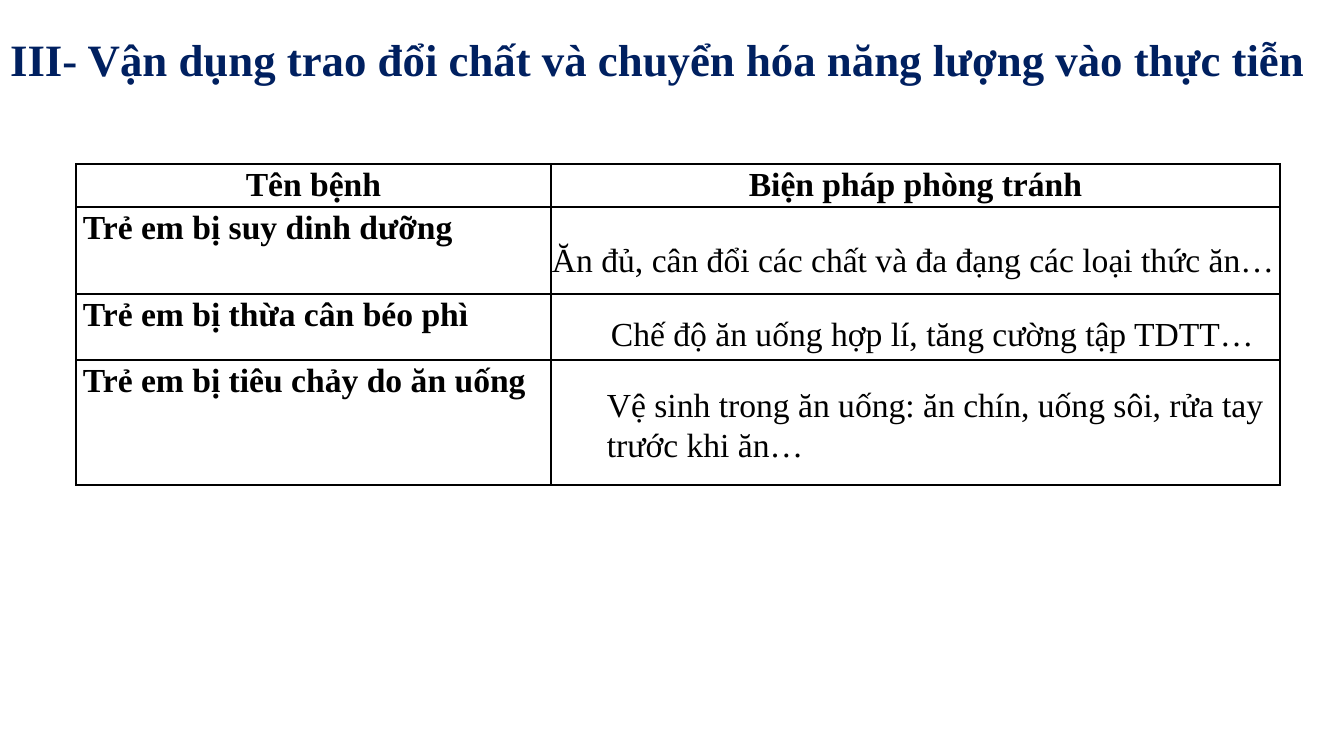
from lxml import etree
from pptx import Presentation
from pptx.dml.color import RGBColor
from pptx.enum.text import MSO_ANCHOR, MSO_AUTO_SIZE, PP_ALIGN
from pptx.oxml.ns import qn
from pptx.util import Pt

LEFT, CENTER, JUSTIFY = PP_ALIGN.LEFT, PP_ALIGN.CENTER, PP_ALIGN.JUSTIFY
TOP = MSO_ANCHOR.TOP
NO_AUTOFIT = MSO_AUTO_SIZE.NONE

EMU_PER_PX = 914400 / 100.8
FONT = "Times New Roman"
COLORS = {"heading": "002060", "text": "000000", "border": "000000"}

HEADING = "III- Vận dụng trao đổi chất và chuyển hóa năng lượng vào thực tiễn"
HEADERS = ["Tên bệnh", "Biện pháp phòng tránh"]
DISEASES = [
    "Trẻ em bị suy dinh dưỡng",
    "Trẻ em bị thừa cân béo phì",
    "Trẻ em bị tiêu chảy do ăn uống",
]
# Measure, offset (x, y) from the table corner, size, alignment, line spacing
MEASURES = [
    ("Ăn đủ, cân đổi các chất và đa đạng các loại thức ăn…",
     (466, 67), (743, 53), JUSTIFY, 1.07),
    ("Chế độ ăn uống hợp lí, tăng cường tập TDTT…",
     (525, 141), (682, 53), JUSTIFY, 1.07),
    ("Vệ sinh trong ăn uống: ăn chín, uống sôi, rửa tay trước khi ăn…",
     (521, 215), (677, 92), LEFT, 1.0),
]
COLUMN_WIDTHS = [475, 729]
ROW_HEIGHTS = [43, 87, 66, 125]


def px(length):
    return round(length * EMU_PER_PX)


def write(frame, text, size=24, color="text", bold=False, align=LEFT, spacing=1.0):
    paragraph = frame.paragraphs[0]
    paragraph.alignment = align
    paragraph.line_spacing = spacing
    run = paragraph.add_run()
    run.text = text
    run.font.name = FONT
    run.font.size = Pt(size)
    run.font.bold = bold
    run.font.color.rgb = RGBColor.from_string(COLORS[color])


def outline_cell(cell):
    properties = cell._tc.get_or_add_tcPr()
    for position, side in enumerate(("a:lnL", "a:lnR", "a:lnT", "a:lnB")):
        line = etree.Element(qn(side), w=str(Pt(1)))
        fill = etree.SubElement(line, qn("a:solidFill"))
        etree.SubElement(fill, qn("a:srgbClr"), val=COLORS["border"])
        properties.insert(position, line)


def add_heading(slide, x, y, width, height):
    heading = slide.shapes.title
    heading.left, heading.top = px(x), px(y)
    heading.width, heading.height = px(width), px(height)
    frame = heading.text_frame
    frame.word_wrap = True
    frame.auto_size = NO_AUTOFIT
    frame.vertical_anchor = TOP
    write(frame, HEADING, size=32, color="heading", bold=True, spacing=1.5)


def add_disease_table(slide, x, y, width, height):
    diseases = slide.shapes.add_table(
        len(ROW_HEIGHTS), len(COLUMN_WIDTHS), px(x), px(y), px(width), px(height)
    ).table
    diseases.horz_banding = False
    for column, column_width in zip(diseases.columns, COLUMN_WIDTHS):
        column.width = px(column_width)
    for row, row_height in zip(diseases.rows, ROW_HEIGHTS):
        row.height = px(row_height)

    # Plain outlined cells
    for cell in diseases.iter_cells():
        cell.fill.background()
        outline_cell(cell)
        cell.margin_left = cell.margin_right = px(7)
        cell.margin_top = cell.margin_bottom = 0

    # Header row and disease column
    for index, header in enumerate(HEADERS):
        write(diseases.cell(0, index).text_frame, header,
              bold=True, align=CENTER, spacing=1.07)
    for index, disease in enumerate(DISEASES, start=1):
        write(diseases.cell(index, 0).text_frame, disease,
              bold=True, align=JUSTIFY, spacing=1.07)


def add_measures(slide, x, y):
    for text, (dx, dy), (width, height), align, spacing in MEASURES:
        measure = slide.shapes.add_textbox(
            px(x + dx), px(y + dy), px(width), px(height))
        measure.text_frame.word_wrap = True
        write(measure.text_frame, text, align=align, spacing=spacing)


def main():
    deck = Presentation()
    deck.slide_width, deck.slide_height = px(1344), px(756)
    slide = deck.slides.add_slide(deck.slide_layouts.get_by_name("Title Only"))
    add_heading(slide, 0, 0, 1344, 92)
    add_disease_table(slide, 76, 164, sum(COLUMN_WIDTHS), sum(ROW_HEIGHTS))
    add_measures(slide, 76, 164)
    deck.save("out.pptx")


if __name__ == "__main__":
    main()
